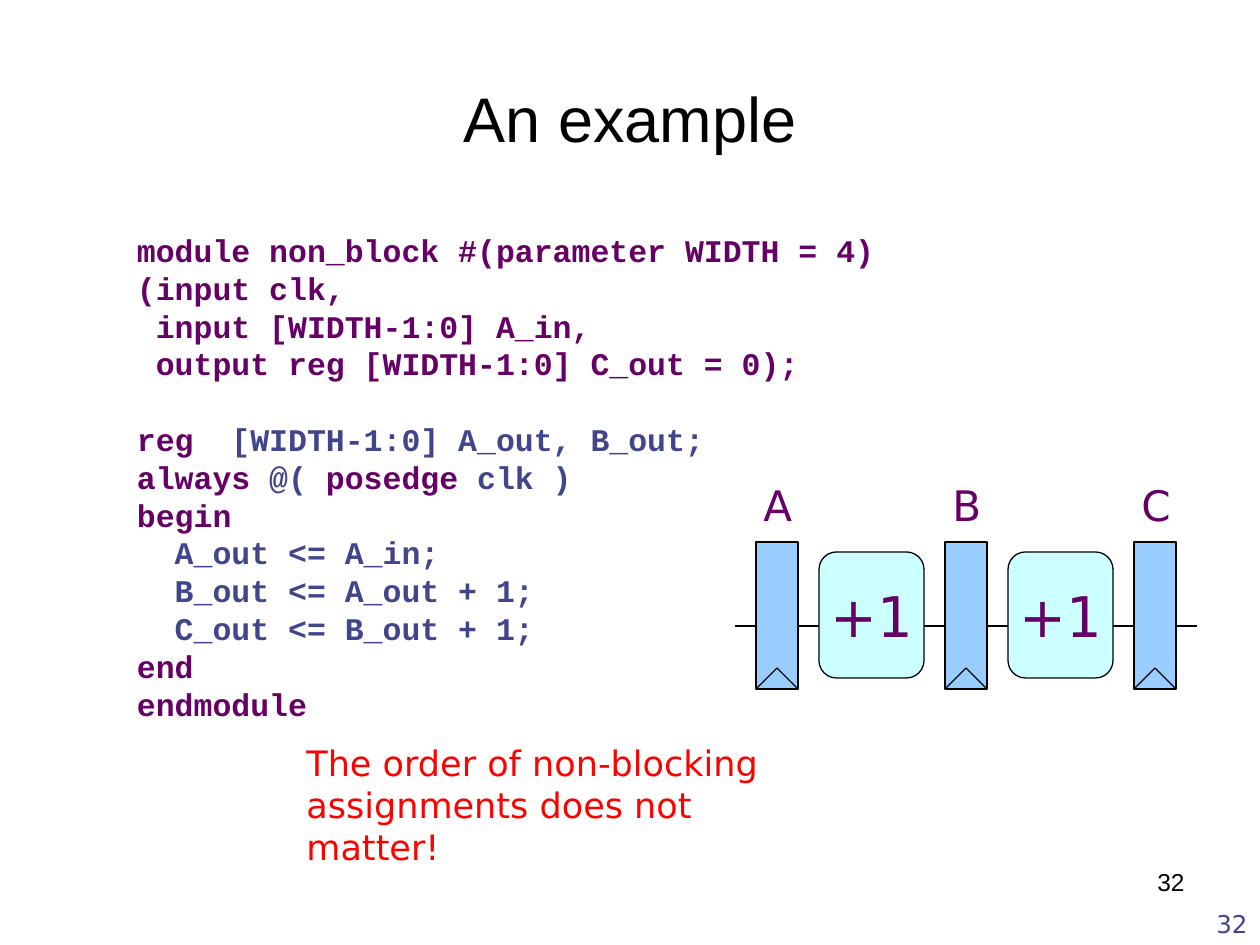
from dataclasses import dataclass

from lxml import etree
from pptx import Presentation
from pptx.dml.color import RGBColor
from pptx.enum.shapes import MSO_CONNECTOR, MSO_SHAPE
from pptx.enum.text import MSO_ANCHOR, PP_ALIGN
from pptx.oxml.ns import qn
from pptx.util import Emu, Pt

LEFT, CENTER, RIGHT = PP_ALIGN.LEFT, PP_ALIGN.CENTER, PP_ALIGN.RIGHT
TOP, MIDDLE, BOTTOM = MSO_ANCHOR.TOP, MSO_ANCHOR.MIDDLE, MSO_ANCHOR.BOTTOM
RECT, ROUNDED = MSO_SHAPE.RECTANGLE, MSO_SHAPE.ROUNDED_RECTANGLE
STRAIGHT = MSO_CONNECTOR.STRAIGHT

PX = 914400 / 126
COLORS = {
    "black": "000000", "purple": "660066", "indigo": "40458C",
    "red": "FF0000", "register": "99CCFF", "adder": "CCFFFF",
}
LINE_PITCH = Pt(21.6)
REG_W, REG_H, REG_X, REG_Y, PITCH = 42, 147, 756, 542, 189
ADDER_DX, ADDER_Y, ADDER_W, ADDER_H = 63, 552, 105, 126
WIRE_Y, WIRE_LEN, NOTCH_H = 626, 21, 21


@dataclass
class Style:
    """Describe how a piece of text looks."""
    size: int
    color: str
    font: str = "DejaVu Sans"
    bold: bool = False
    align: PP_ALIGN = LEFT
    anchor: MSO_ANCHOR = TOP
    wrap: bool = True


@dataclass
class Label:
    """Describe a text box in px."""
    text: str
    box: tuple[int, int, int, int]
    style: Style


@dataclass
class CodeLine:
    """Describe a code line as (text, colour) runs."""
    runs: list[tuple[str, str]]
    gap: bool = False


CODE_STYLE = Style(18, "purple", "Courier New", bold=True)
REG_STYLE = Style(24, "purple", align=CENTER, wrap=False)
ADDER_STYLE = Style(32, "purple", align=CENTER, anchor=MIDDLE, wrap=False)

LABELS = [
    Label("An example", (63, 38, 1134, 158),
          Style(36, "black", "Arial", align=CENTER, anchor=MIDDLE)),
    Label("The order of non-blocking assignments does not matter!",
          (294, 735, 499, 139), Style(20, "red")),
    Label("32", (998, 882, 262, 63),
          Style(14, "indigo", align=RIGHT, anchor=BOTTOM)),
    Label("32", (903, 861, 294, 66), Style(14, "black", "Arial", align=RIGHT)),
]
CODE = [
    CodeLine([("module non_block #(parameter WIDTH = 4)", "purple")]),
    CodeLine([("(input clk,", "purple")]),
    CodeLine([(" input [WIDTH-1:0] A_in,", "purple")]),
    CodeLine([(" output reg [WIDTH-1:0] C_out = 0);", "purple")]),
    CodeLine([("reg", "purple"), ("  [WIDTH-1:0] A_out, B_out;", "indigo")], gap=True),
    CodeLine([("always", "purple"), (" @( ", "indigo"),
              ("posedge", "purple"), (" clk )", "indigo")]),
    CodeLine([("begin", "purple")]),
    CodeLine([("  A_out <= A_in;", "indigo")]),
    CodeLine([("  B_out <= A_out + 1;", "indigo")]),
    CodeLine([("  C_out <= B_out + 1;", "indigo")]),
    CodeLine([("end", "purple")]),
    CodeLine([("endmodule", "purple")]),
]


def emu(*px: int) -> list[Emu]:
    """Turn px lengths into EMU."""
    return [Emu(round(v * PX)) for v in px]


def rgb(name: str) -> RGBColor:
    """Look up a named colour."""
    return RGBColor.from_string(COLORS[name])


def set_all(obj, values: dict) -> None:
    """Set each format value on an object."""
    for name, value in values.items():
        setattr(obj, name, value)


def add_run(p, text: str, style: Style, color: str) -> None:
    """Append a styled run to a paragraph."""
    r = p.add_run()
    r.text = text
    set_all(r.font, {"size": Pt(style.size), "name": style.font, "bold": style.bold})
    r.font.color.rgb = rgb(color)


def write(tf, text: str, style: Style) -> None:
    """Put one styled paragraph into a text frame."""
    set_all(tf, {"word_wrap": style.wrap, "vertical_anchor": style.anchor})
    p = tf.paragraphs[0]
    p.alignment = style.align
    add_run(p, text, style, style.color)


def add_label(s, label: Label) -> None:
    """Draw a text box."""
    write(s.shapes.add_textbox(*emu(*label.box)).text_frame, label.text, label.style)


def add_code(s, lines: list[CodeLine]) -> None:
    """Draw the code listing."""
    tf = s.shapes.add_textbox(*emu(116, 210, 809, 533)).text_frame
    inset = emu(21)[0]
    set_all(tf, {"word_wrap": True, "margin_left": inset, "margin_top": inset,
                 "margin_right": inset, "margin_bottom": inset})
    for i, line in enumerate(lines):
        p = tf.add_paragraph() if i else tf.paragraphs[0]
        set_all(p, {"line_spacing": LINE_PITCH,
                    "space_before": LINE_PITCH if line.gap else Pt(0)})
        for text, color in line.runs:
            add_run(p, text, CODE_STYLE, color)


def add_box(s, kind: MSO_SHAPE, box: tuple[int, int, int, int], fill: str):
    """Draw a filled, outlined shape."""
    sp = s.shapes.add_shape(kind, *emu(*box))
    sp.shadow.inherit = False
    sp.fill.solid()
    sp.fill.fore_color.rgb = rgb(fill)
    sp.line.color.rgb = rgb("black")
    sp.line.width = Pt(0.75)
    return sp


def add_line(s, x1: int, y1: int, x2: int, y2: int) -> None:
    """Draw a thin black line."""
    c = s.shapes.add_connector(STRAIGHT, *emu(x1, y1, x2, y2))
    c.line.color.rgb = rgb("black")
    c.line.width = Pt(0.75)
    etree.SubElement(c._element.spPr, qn("a:effectLst"))


def add_register(s, name: str, x: int) -> None:
    """Draw a register with its clock notch, wires and name."""
    right, mid, bottom = x + REG_W, x + REG_W // 2, REG_Y + REG_H
    add_box(s, RECT, (x, REG_Y, REG_W, REG_H), "register")
    add_line(s, x, bottom, mid, bottom - NOTCH_H)
    add_line(s, mid, bottom - NOTCH_H, right, bottom)
    add_line(s, x - WIRE_LEN, WIRE_Y, x, WIRE_Y)
    add_line(s, right, WIRE_Y, right + WIRE_LEN, WIRE_Y)
    add_label(s, Label(name, (x - 5, 473, 52, 63), REG_STYLE))


def add_adder(s, x: int) -> None:
    """Draw a +1 block with its output stub."""
    sp = add_box(s, ROUNDED, (x, ADDER_Y, ADDER_W, ADDER_H), "adder")
    write(sp.text_frame, "+1", ADDER_STYLE)
    add_line(s, x + ADDER_W, WIRE_Y, x + ADDER_W + WIRE_LEN // 2, WIRE_Y)


def main() -> None:
    """Build and save the slide."""
    prs = Presentation()
    prs.slide_width, prs.slide_height = emu(1260, 945)
    s = prs.slides.add_slide(prs.slide_layouts[6])
    title, *notes = LABELS
    add_label(s, title)
    add_code(s, CODE)
    names = "ABC"
    for i, name in enumerate(names):
        x = REG_X + i * PITCH
        add_register(s, name, x)
        if i < len(names) - 1:
            add_adder(s, x + ADDER_DX)
    for note in notes:
        add_label(s, note)
    prs.save("out.pptx")


if __name__ == "__main__":
    main()
